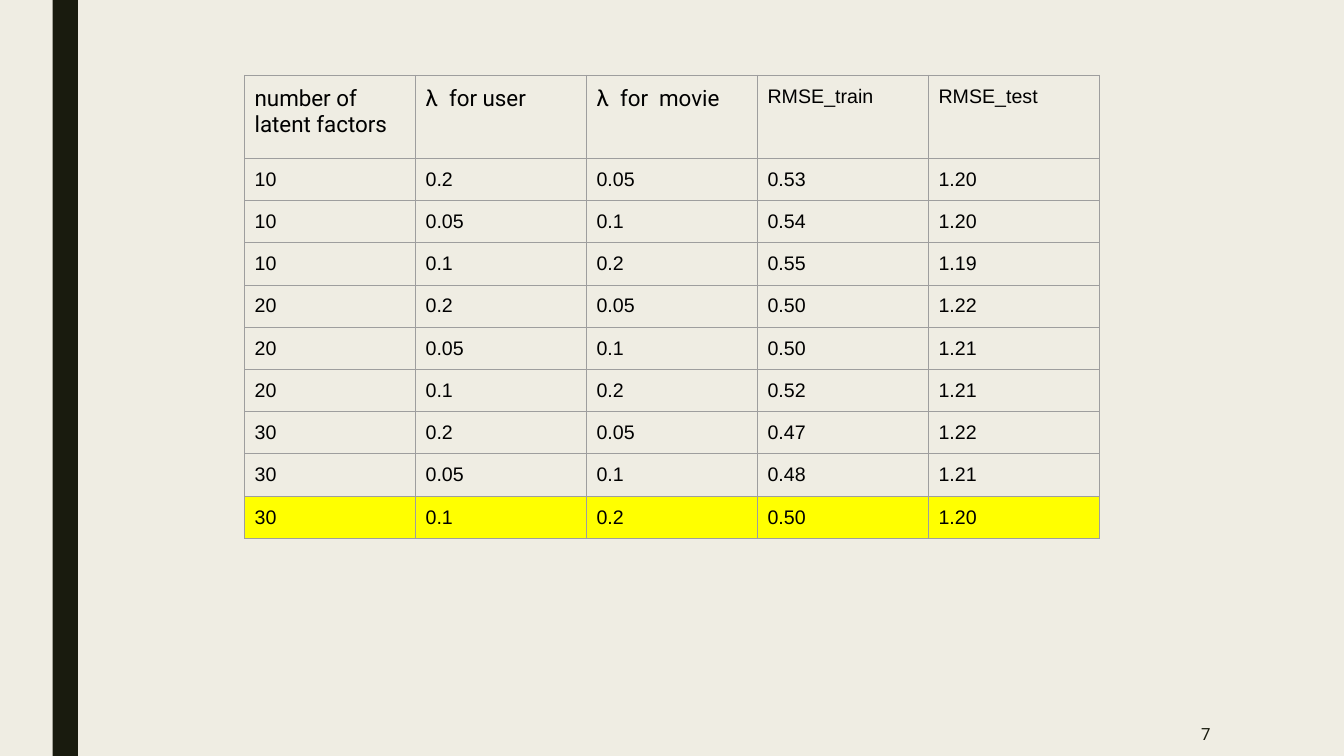
from dataclasses import dataclass

from lxml import etree
from pptx import Presentation
from pptx import util as u
from pptx.dml.color import RGBColor
from pptx.enum import shapes, text
from pptx.oxml import ns


@dataclass(frozen=True)
class Theme:
    """Colours, fonts and type sizes of the deck."""
    page: str = "EFEDE3"
    dark: str = "191B0E"
    ink: str = "000000"
    grid: str = "9E9E9E"
    highlight: str = "FFFF00"
    heading_font: str = "Roboto"
    value_font: str = "Arial"
    heading_size: int = 16
    value_size: int = 14
    number_size: int = 12


@dataclass(frozen=True)
class Box:
    """A rectangle in points."""
    left: float
    top: float
    width: float
    height: float

    def lengths(self):
        """Return the four measures as lengths."""
        return [u.Pt(v) for v in (self.left, self.top, self.width, self.height)]


THEME = Theme()
HEADINGS = ["number of latent factors", "λ  for user", "λ  for  movie",
            "RMSE_train", "RMSE_test"]
RESULTS = [
    ["10", "0.2", "0.05", "0.53", "1.20"],
    ["10", "0.05", "0.1", "0.54", "1.20"],
    ["10", "0.1", "0.2", "0.55", "1.19"],
    ["20", "0.2", "0.05", "0.50", "1.22"],
    ["20", "0.05", "0.1", "0.50", "1.21"],
    ["20", "0.1", "0.2", "0.52", "1.21"],
    ["30", "0.2", "0.05", "0.47", "1.22"],
    ["30", "0.05", "0.1", "0.48", "1.21"],
    ["30", "0.1", "0.2", "0.50", "1.20"],
]
BEST_ROW = len(RESULTS)
HEADING_HEIGHT = 59.3


def paint(fill, colour):
    """Give a fill one solid colour."""
    fill.solid()
    fill.fore_color.rgb = RGBColor.from_string(colour)


def add_span(para, wording, font, size, colour):
    """Add one formatted run to a paragraph."""
    span = para.add_run()
    span.text = wording
    span.font.name = font
    span.font.size = u.Pt(size)
    span.font.color.rgb = RGBColor.from_string(colour)


def add_borders(cell):
    """Draw a thin line on all four sides of a cell."""
    properties = cell._tc.get_or_add_tcPr()
    for place, side in enumerate(("a:lnL", "a:lnR", "a:lnT", "a:lnB")):
        line = etree.Element(ns.qn(side), w=str(u.Pt(0.75)))
        solid = etree.SubElement(line, ns.qn("a:solidFill"))
        etree.SubElement(solid, ns.qn("a:srgbClr"), val=THEME.grid)
        properties.insert(place, line)


def add_side_bar(page, box):
    """Place the dark vertical bar."""
    bar = page.shapes.add_shape(shapes.MSO_SHAPE.RECTANGLE, *box.lengths())
    bar.shadow.inherit = False
    paint(bar.fill, THEME.dark)
    bar.line.fill.background()


def fill_cell(cell, wording, row, column):
    """Write and format one cell of the results table."""
    cell.margin_left = cell.margin_right = u.Pt(7.2)
    cell.margin_top = cell.margin_bottom = u.Pt(7.2)
    if row == BEST_ROW:
        paint(cell.fill, THEME.highlight)
    else:
        cell.fill.background()
    add_borders(cell)
    if row == 0 and column < 3:
        font, size = THEME.heading_font, THEME.heading_size
    else:
        font, size = THEME.value_font, THEME.value_size
    add_span(cell.text_frame.paragraphs[0], wording, font, size, THEME.ink)


def add_results(page, box):
    """Place the table of parameters and errors."""
    rows = [HEADINGS, *RESULTS]
    table = page.shapes.add_table(len(rows), len(HEADINGS), *box.lengths()).table
    table.first_row = table.horz_banding = False
    for column in table.columns:
        column.width = u.Pt(box.width / len(HEADINGS))
    for row in table.rows:
        row.height = u.Pt((box.height - HEADING_HEIGHT) / len(RESULTS))
    table.rows[0].height = u.Pt(HEADING_HEIGHT)
    for row, values in enumerate(rows):
        for column, wording in enumerate(values):
            fill_cell(table.cell(row, column), wording, row, column)


def add_page_number(page, box):
    """Place the page number, aligned right."""
    frame = page.shapes.add_textbox(*box.lengths()).text_frame
    frame.word_wrap = True
    frame.vertical_anchor = text.MSO_ANCHOR.MIDDLE
    para = frame.paragraphs[0]
    para.alignment = text.PP_ALIGN.RIGHT
    add_span(para, "7", THEME.heading_font, THEME.number_size, THEME.dark)


def main():
    """Build the deck and save it."""
    deck = Presentation()
    deck.slide_width, deck.slide_height = u.Pt(960), u.Pt(540)
    page = deck.slides.add_slide(deck.slide_layouts[6])
    paint(page.background.fill, THEME.page)
    add_side_bar(page, Box(37.6, 0, 18, 540))
    add_results(page, Box(174.7, 53.8, 610.6, 330.2))
    add_page_number(page, Box(745.8, 508.5, 126, 31.5))
    deck.save("out.pptx")


if __name__ == "__main__":
    main()
